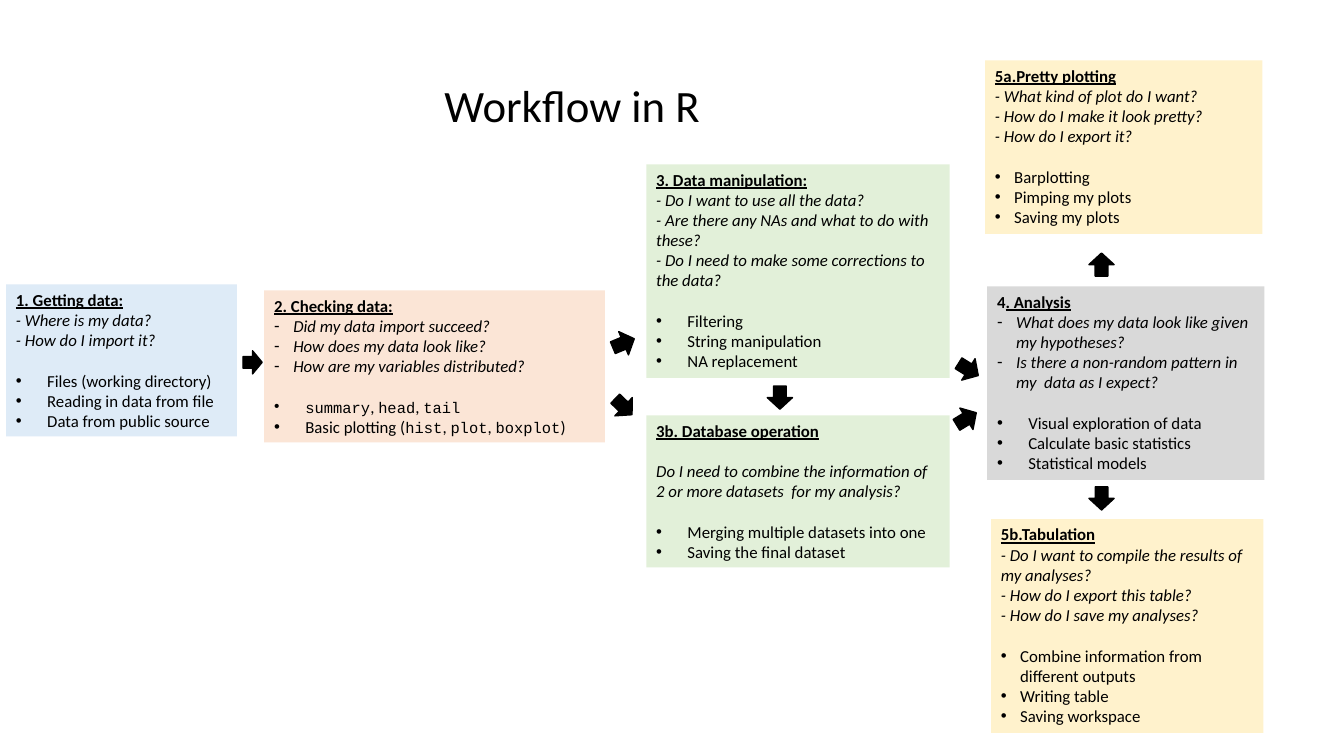
from pptx import Presentation
from pptx.dml.color import RGBColor
from pptx.enum.shapes import MSO_SHAPE
from pptx.enum.text import MSO_ANCHOR, MSO_AUTO_SIZE, PP_ALIGN
from pptx.util import Inches, Pt
from lxml import etree

COLORS = {
    "getting": "DEEBF7", "checking": "FBE5D6", "manipulation": "E2F0D9",
    "analysis": "D9D9D9", "output": "FFF2CC", "black": "000000",
}
NAMESPACE = "{http://schemas.openxmlformats.org/drawingml/2006/main}"
BLANK_LINE = Pt(14.65)

# Paragraph styles: font attributes, bullet character, hanging indent in inches
STYLES = {
    "heading": ({"bold": True, "underline": True}, None, 0),
    "question": ({"italic": True}, None, 0),
    "dash": ({"italic": True}, "-", 0.19),
    "wide bullet": ({}, "•", 0.31),
    "bullet": ({}, "•", 0.19),
}

# Each box: color, left, top, width, height, blocks.
# Each block: style, gap before it, paragraphs. Backticks enclose code,
# and "|" ends the part of a heading that has no underline.
BOXES = [
    ("getting", 0.06, 2.82, 2.29, 1.51, [
        ("heading", False, ["1. Getting data:"]),
        ("question", False, ["- Where is my data?", "- How do I import it?"]),
        ("wide bullet", True, ["Files (working directory)", "Reading in data from file",
                               "Data from public source"]),
    ]),
    ("checking", 2.62, 2.88, 3.38, 1.51, [
        ("heading", False, ["2. Checking data:"]),
        ("dash", False, ["Did my data import succeed?", "How does my data look like?",
                         "How are my variables distributed?"]),
        ("wide bullet", True, ["`summary`, `head`, `tail`",
                               "Basic plotting (`hist`, `plot`, `boxplot`)"]),
    ]),
    ("manipulation", 6.41, 1.63, 3.01, 2.12, [
        ("heading", False, ["3. Data manipulation:"]),
        ("question", False, ["- Do I want to use all the data?",
                             "- Are there any NAs and what to do with these?",
                             "- Do I need to make some corrections to the data?"]),
        ("wide bullet", True, ["Filtering", "String manipulation", "NA replacement"]),
    ]),
    ("manipulation", 6.41, 4.12, 3.01, 1.51, [
        ("heading", False, ["3b. Database operation"]),
        ("question", True, ["Do I need to combine the information of 2 or more datasets  "
                            "for my analysis?"]),
        ("wide bullet", True, ["Merging multiple datasets into one",
                               "Saving the final dataset"]),
    ]),
    ("analysis", 9.79, 2.84, 2.75, 1.92, [
        ("heading", False, ["4|. Analysis"]),
        ("dash", False, ["What does my data look like given my hypotheses?",
                         "Is there a non-random pattern in my  data as I expect?"]),
        ("wide bullet", True, ["Visual exploration of data", "Calculate basic statistics",
                               "Statistical models"]),
    ]),
    ("output", 9.77, 0.6, 2.75, 1.72, [
        ("heading", False, ["5a.Pretty plotting"]),
        ("question", False, ["- What kind of plot do I want?",
                             "- How do I make it look pretty?", "- How do I export it?"]),
        ("bullet", True, ["Barplotting", "Pimping my plots", "Saving my plots"]),
    ]),
    ("output", 9.83, 5.15, 2.7, 2.12, [
        ("heading", False, ["5b.Tabulation"]),
        ("question", False, ["- Do I want to compile the results of my analyses?",
                             "- How do I export this table?",
                             "- How do I save my analyses?"]),
        ("bullet", True, ["Combine information from different outputs", "Writing table",
                          "Saving workspace"]),
    ]),
]

# Each arrow: left, top, width, height, rotation
ARROWS = [
    (2.41, 3.48, 0.19, 0.23, 0),
    (6.07, 3.28, 0.23, 0.25, 337.3),
    (6.07, 3.91, 0.23, 0.25, 43.8),
    (7.62, 3.82, 0.23, 0.25, 90),
    (9.49, 3.54, 0.23, 0.25, 32),
    (9.47, 4.03, 0.23, 0.25, 328.6),
    (10.81, 2.5, 0.23, 0.25, 270),
    (10.81, 4.82, 0.23, 0.25, 90),
]


def add_run(paragraph, text, size=12, name="Calibri", **formats):
    """Add a black run with the given font attributes."""
    run = paragraph.add_run()
    run.text = text
    run.font.color.rgb = RGBColor.from_string(COLORS["black"])
    for attribute, value in {"size": Pt(size), "name": name, **formats}.items():
        setattr(run.font, attribute, value)


def add_filled_shape(kind, color, left, top, width, height):
    """Add a preset shape with a solid fill, no outline and no shadow."""
    shape = slide.shapes.add_shape(kind, Inches(left), Inches(top),
                                   Inches(width), Inches(height))
    shape.shadow.inherit = False
    shape.fill.solid()
    shape.fill.fore_color.rgb = RGBColor.from_string(COLORS[color])
    shape.line.fill.background()
    return shape


presentation = Presentation()
presentation.slide_width = Inches(13.33)
presentation.slide_height = Inches(7.5)
slide = presentation.slides.add_slide(presentation.slide_layouts[6])

for color, left, top, width, height, blocks in BOXES:
    box = add_filled_shape(MSO_SHAPE.RECTANGLE, color, left, top, width, height)
    frame = box.text_frame
    frame.word_wrap = True
    frame.auto_size = MSO_AUTO_SIZE.SHAPE_TO_FIT_TEXT
    frame.vertical_anchor = MSO_ANCHOR.TOP
    paragraph = frame.paragraphs[0]
    for style, gap, texts in blocks:
        formats, bullet, indent = STYLES[style]
        for index, text in enumerate(texts):
            if style != "heading":
                paragraph = frame.add_paragraph()
            paragraph.alignment = PP_ALIGN.LEFT
            if gap and index == 0:
                paragraph.space_before = BLANK_LINE
            if bullet:
                properties = paragraph._p.get_or_add_pPr()
                properties.set("marL", str(Inches(indent)))
                properties.set("indent", str(-Inches(indent)))
                etree.SubElement(properties, NAMESPACE + "buFont", typeface="Arial")
                etree.SubElement(properties, NAMESPACE + "buChar", char=bullet)
            plain, separator, text = text.rpartition("|")
            if plain:
                add_run(paragraph, plain, bold=True)
            for position, part in enumerate(text.split("`")):
                if part and position % 2:
                    add_run(paragraph, part, size=11, name="Courier New")
                elif part:
                    add_run(paragraph, part, **formats)

for left, top, width, height, rotation in ARROWS:
    arrow = add_filled_shape(MSO_SHAPE.RIGHT_ARROW, "black", left, top, width, height)
    arrow.rotation = rotation
    arrow.line.color.rgb = RGBColor.from_string(COLORS["black"])
    arrow.line.width = Pt(1)

title = slide.shapes.add_textbox(Inches(4.31), Inches(0.72), Inches(4.38), Inches(0.64))
title.text_frame.word_wrap = True
title.text_frame.auto_size = MSO_AUTO_SIZE.SHAPE_TO_FIT_TEXT
add_run(title.text_frame.paragraphs[0], "Workflow in R", size=32)

presentation.save("out.pptx")
